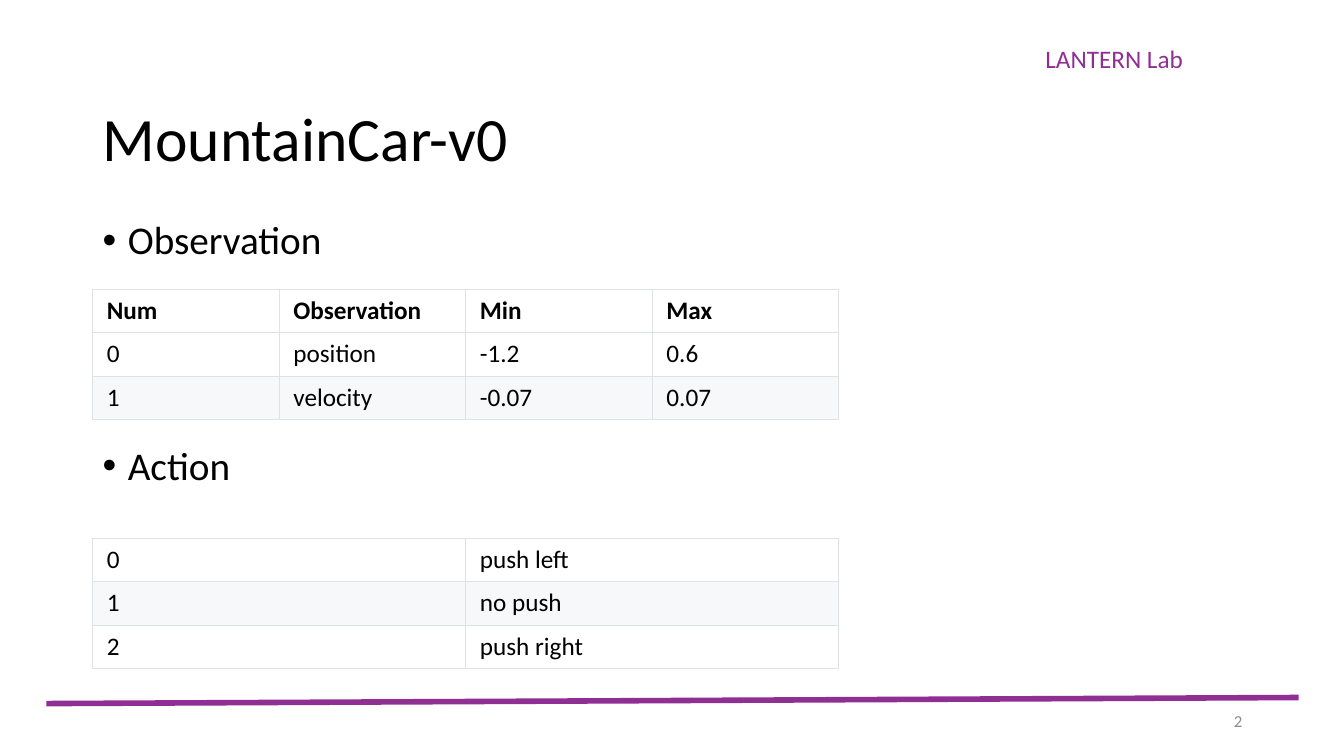
from lxml.etree import SubElement
from pptx import Presentation
from pptx.dml.color import RGBColor
from pptx.enum.shapes import MSO_CONNECTOR
from pptx.enum.text import MSO_ANCHOR, PP_ALIGN
from pptx.oxml.ns import qn
from pptx.util import Inches, Pt

# Content
LAB = "LANTERN Lab"
TITLE = "MountainCar-v0"
PAGE = "2"
SECTIONS = [
    {"heading": "Observation", "heading_top": 2.14, "table_top": 2.87,
     "header": ["Num", "Observation", "Min", "Max"],
     "body": [["0", "position", "-1.2", "0.6"],
              ["1", "velocity", "-0.07", "0.07"]]},
    {"heading": "Action", "heading_top": 4.38, "table_top": 5.34,
     "header": None,
     "body": [["0", "push left"], ["1", "no push"], ["2", "push right"]]},
]

# Theme and grid, lengths in inches
THEME = {
    "font": "Calibri", "accent": "8F2E93", "ink": "000000", "muted": "8C8C8C",
    "border": "DFE2E5", "stripes": ["FFFFFF", "F6F8FA"],
    "title": 44, "heading": 28, "body": 18, "small": 12,
}
WIDTH, HEIGHT = 13.33, 7.5
LEFT, CONTENT_WIDTH = 0.92, 11.5
TABLE_WIDTH, ROW_HEIGHT = 7.4, 0.43
INDENT = 0.25
CELL_PAD_X, CELL_PAD_Y = 0.14, 0.06

deck = Presentation()
deck.slide_width, deck.slide_height = Inches(WIDTH), Inches(HEIGHT)
slide = deck.slides.add_slide(deck.slide_layouts[6])


def write(frame, text, size="body", color="ink", bold=False,
          align=PP_ALIGN.LEFT, spacing=None, bullet=False):
    paragraph = frame.paragraphs[0]
    paragraph.alignment = align
    if spacing:
        paragraph.line_spacing = spacing
    if bullet:
        props = paragraph._p.get_or_add_pPr()
        props.set("marL", str(Inches(INDENT)))
        props.set("indent", str(-Inches(INDENT)))
        SubElement(props, qn("a:buFont"), typeface="Arial")
        SubElement(props, qn("a:buChar"), char="•")
    run = paragraph.add_run()
    run.text = text
    run.font.name = THEME["font"]
    run.font.size = Pt(THEME[size])
    run.font.bold = bold
    run.font.color.rgb = RGBColor.from_string(THEME[color])


def add_text(text, left, top, width, height, anchor=MSO_ANCHOR.TOP, **style):
    box = slide.shapes.add_textbox(*map(Inches, (left, top, width, height)))
    box.text_frame.word_wrap = True
    box.text_frame.vertical_anchor = anchor
    write(box.text_frame, text, **style)


def outline(cell):
    props = cell._tc.get_or_add_tcPr()
    for side in ("a:lnL", "a:lnR", "a:lnT", "a:lnB"):
        edge = SubElement(props, qn(side), w=str(Pt(0.75)))
        SubElement(SubElement(edge, qn("a:solidFill")), qn("a:srgbClr"),
                   val=THEME["border"])


def add_grid(top, header, body):
    rows = ([header] if header else []) + body
    columns = len(rows[0])
    grid = slide.shapes.add_table(
        len(rows), columns, Inches(LEFT), Inches(top),
        Inches(TABLE_WIDTH), Inches(ROW_HEIGHT * len(rows))).table
    grid.first_row = bool(header)
    for column in grid.columns:
        column.width = Inches(TABLE_WIDTH / columns)
    for r, values in enumerate(rows):
        is_header = bool(header) and r == 0
        # Every second body row is shaded; the header is not counted
        shade = 0 if is_header else (r - bool(header)) % 2
        for c, value in enumerate(values):
            cell = grid.cell(r, c)
            cell.margin_left = cell.margin_right = Inches(CELL_PAD_X)
            cell.margin_top = cell.margin_bottom = Inches(CELL_PAD_Y)
            cell.vertical_anchor = MSO_ANCHOR.MIDDLE
            outline(cell)
            cell.fill.solid()
            cell.fill.fore_color.rgb = RGBColor.from_string(THEME["stripes"][shade])
            write(cell.text_frame, value, bold=is_header)


# Lab name and footer rule
add_text(LAB, 10.27, 0.38, 2.6, 0.4, color="accent")
rule = slide.shapes.add_connector(
    MSO_CONNECTOR.STRAIGHT, *map(Inches, (0.46, 6.98, 12.88, 6.92)))
rule.line.color.rgb = RGBColor.from_string(THEME["accent"])
rule.line.width = Pt(4)
SubElement(rule._element.spPr, qn("a:effectLst"))

# Title
add_text(TITLE, LEFT, 0.68, CONTENT_WIDTH, 1.45, anchor=MSO_ANCHOR.MIDDLE,
         size="title", spacing=0.9)

# Headings with their tables
for section in SECTIONS:
    add_text(section["heading"], LEFT, section["heading_top"], CONTENT_WIDTH, 0.55,
             size="heading", spacing=0.9, bullet=True)
    add_grid(section["table_top"], section["header"], section["body"])

# Page number
add_text(PAGE, 9.42, 6.95, 3, 0.4, anchor=MSO_ANCHOR.MIDDLE, size="small",
         color="muted", align=PP_ALIGN.RIGHT)

deck.save("out.pptx")
